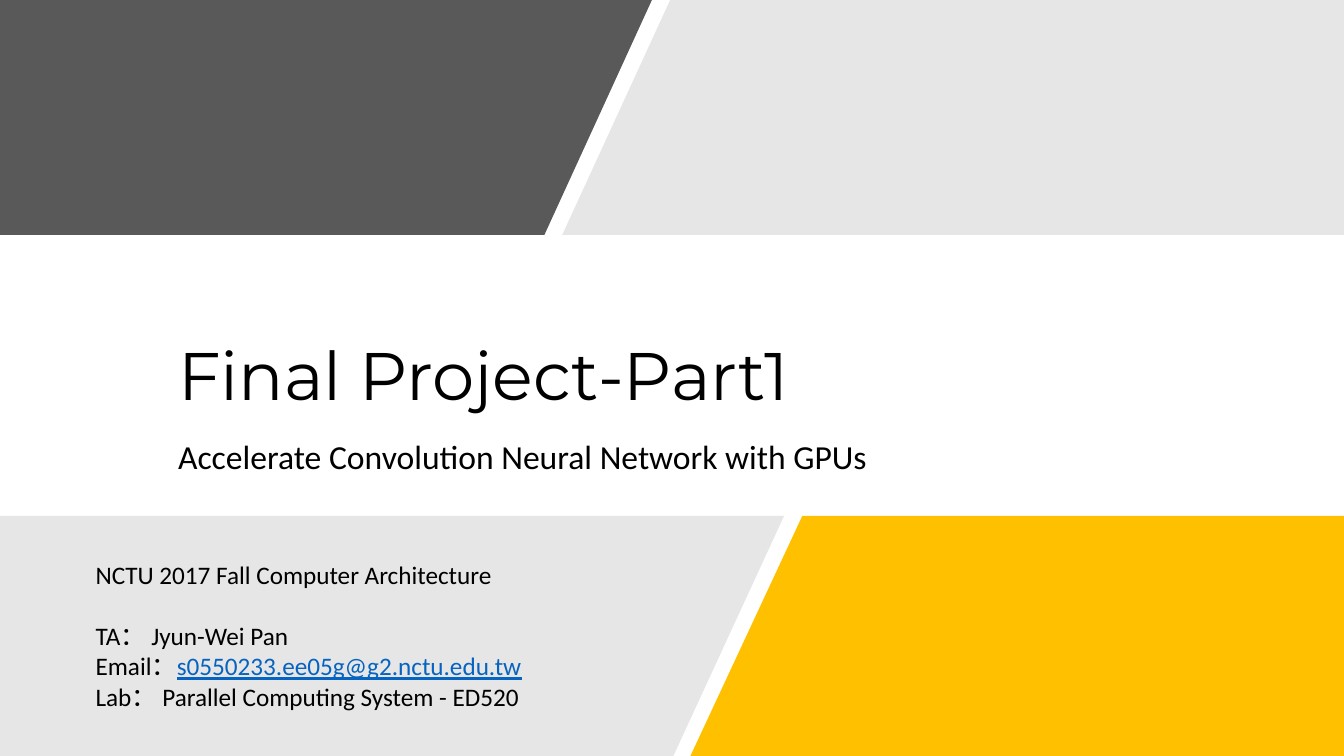
from pptx import Presentation
from pptx.dml.color import RGBColor
from pptx.enum import text
from pptx.util import Cm, Pt

DARK = RGBColor(0x59, 0x59, 0x59)
LIGHT = RGBColor(0xE7, 0xE6, 0xE6)
YELLOW = RGBColor(0xFF, 0xC0, 0x00)
BLACK = RGBColor(0x00, 0x00, 0x00)
LINK = RGBColor(0x05, 0x63, 0xC1)

WIDTH, HEIGHT = 33.87, 19.05
TOP_END, BOTTOM_START = 5.92, 13


def style(p, font, size):
    p.alignment = text.PP_ALIGN.LEFT
    for r in p.runs:
        r.font.name = font
        r.font.size = Pt(size)
        r.font.color.rgb = BLACK


prs = Presentation()
prs.slide_width, prs.slide_height = Cm(WIDTH), Cm(HEIGHT)
s = prs.slides.add_slide(prs.slide_layouts[5])

# Slanted bands: colour, top, bottom, left and right x at the top, then at the bottom
bands = [
    (DARK, 0, TOP_END, (0, 16.43), (0, 13.72)),
    (LIGHT, 0, TOP_END, (16.89, WIDTH), (14.17, WIDTH)),
    (LIGHT, BOTTOM_START, HEIGHT, (0, 19.76), (0, 16.97)),
    (YELLOW, BOTTOM_START, HEIGHT, (20.22, WIDTH), (17.4, WIDTH)),
]
for color, top, bottom, (tl, tr), (bl, br) in bands:
    fb = s.shapes.build_freeform(Cm(tl), Cm(top))
    fb.add_line_segments([(Cm(x), Cm(y)) for x, y in
                          ((tr, top), (br, bottom), (bl, bottom))])
    sp = fb.convert_to_shape()
    sp.shadow.inherit = False
    sp.fill.solid()
    sp.fill.fore_color.rgb = color
    sp.line.fill.background()

title = s.shapes.title
title.left, title.top, title.width, title.height = Cm(4.24), Cm(6.25), Cm(25.4), Cm(4.34)
tf = title.text_frame
tf.text = "Final Project-Part1"
tf.auto_size = text.MSO_AUTO_SIZE.NONE
tf.vertical_anchor = text.MSO_ANCHOR.BOTTOM
tf.paragraphs[0].line_spacing = 0.9
style(tf.paragraphs[0], "Montserrat", 48)

subtitle = s.shapes.add_textbox(Cm(4.24), Cm(10.97), Cm(25.4), Cm(1.6))
tf = subtitle.text_frame
tf.word_wrap = True
tf.text = "Accelerate Convolution Neural Network with GPUs"
tf.paragraphs[0].line_spacing = 0.9
style(tf.paragraphs[0], "Calibri", 24)

contact = s.shapes.add_textbox(Cm(2.16), Cm(13.97), Cm(14), Cm(4.11))
tf = contact.text_frame
tf.word_wrap = True
tf.text = "\n".join([
    "NCTU 2017 Fall Computer Architecture",
    "TA： Jyun-Wei Pan",
    "Email：",
    "Lab： Parallel Computing System - ED520",
])
course, assistant, email, lab = tf.paragraphs
address = email.add_run()
address.text = "s0550233.ee05g@g2.nctu.edu.tw"
for p in tf.paragraphs:
    style(p, "Calibri", 18)
assistant.space_before = Pt(22)
address.font.color.rgb = LINK
address.font.underline = True

prs.save("out.pptx")
